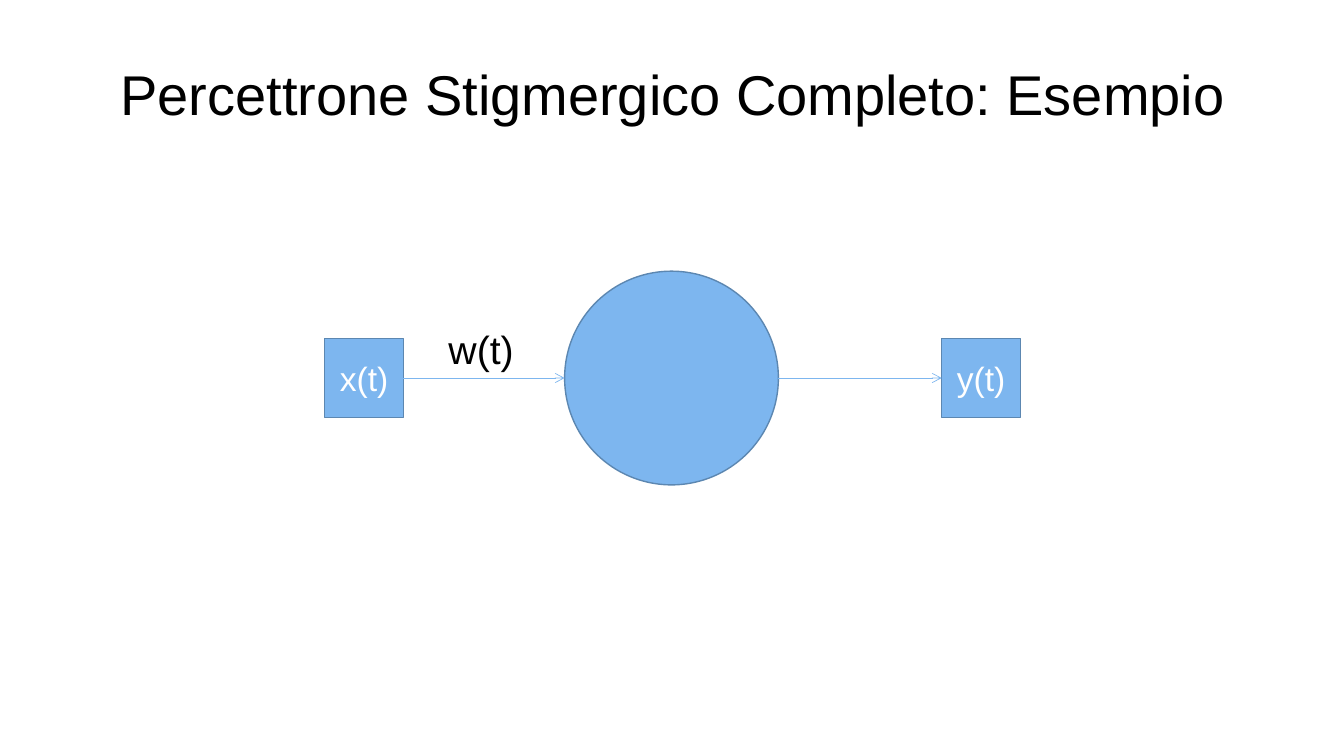
from dataclasses import dataclass

from lxml import etree
from pptx import Presentation
from pptx.dml.color import RGBColor
from pptx.enum.shapes import MSO_CONNECTOR, MSO_SHAPE
from pptx.enum.text import MSO_ANCHOR, PP_ALIGN
from pptx.oxml.ns import qn
from pptx.util import Inches, Pt


@dataclass(frozen=True)
class Theme:
    font: str = "Arial"
    fill: RGBColor = RGBColor(0x7D, 0xB6, 0xEF)
    edge: RGBColor = RGBColor(0x5C, 0x87, 0xB1)
    ink: RGBColor = RGBColor(0, 0, 0)
    light: RGBColor = RGBColor(255, 255, 255)
    title: Pt = Pt(40)
    weight: Pt = Pt(28)
    node: Pt = Pt(24)
    border: Pt = Pt(1)
    arrow: Pt = Pt(0.5)


theme = Theme()


def write(shape, text, size, color, align, anchor, wrap):
    frame = shape.text_frame
    frame.word_wrap = wrap
    frame.vertical_anchor = anchor
    para = frame.paragraphs[0]
    para.text = text
    para.alignment = align
    para.font.name = theme.font
    para.font.size = size
    para.font.color.rgb = color


deck = Presentation()
deck.slide_width, deck.slide_height = Inches(13.33), Inches(7.5)
slide = deck.slides.add_slide(deck.slide_layouts[6])
shapes = slide.shapes

title = shapes.add_textbox(Inches(0.67), Inches(0.3), Inches(12), Inches(1.25))
write(title, "Percettrone Stigmergico Completo: Esempio", theme.title,
      theme.ink, PP_ALIGN.CENTER, MSO_ANCHOR.MIDDLE, True)

# Nodes share one horizontal axis
axis = 3.75
nodes = [
    (MSO_SHAPE.RECTANGLE, 3.22, 0.78, "x(t)"),
    (MSO_SHAPE.OVAL, 5.6, 2.12, ""),
    (MSO_SHAPE.RECTANGLE, 9.34, 0.78, "y(t)"),
]
for kind, left, side, text in nodes:
    node = shapes.add_shape(kind, Inches(left), Inches(axis - side / 2),
                            Inches(side), Inches(side))
    node.shadow.inherit = False
    node.fill.solid()
    node.fill.fore_color.rgb = theme.fill
    node.line.color.rgb = theme.edge
    node.line.width = theme.border
    if text:
        write(node, text, theme.node, theme.light,
              PP_ALIGN.CENTER, MSO_ANCHOR.MIDDLE, False)

# Each node points to the next
for (_, left, side, _), (_, end, _, _) in zip(nodes, nodes[1:]):
    link = shapes.add_connector(MSO_CONNECTOR.STRAIGHT, Inches(left + side),
                                Inches(axis), Inches(end), Inches(axis))
    link.line.color.rgb = theme.fill
    link.line.width = theme.arrow
    etree.SubElement(link.line._get_or_add_ln(), qn("a:tailEnd"), type="arrow")
    etree.SubElement(link._element.spPr, qn("a:effectLst"))

label = shapes.add_textbox(Inches(4.35), Inches(3.18), Inches(1.1), Inches(0.57))
write(label, "w(t)", theme.weight, theme.ink,
      PP_ALIGN.LEFT, MSO_ANCHOR.TOP, True)

deck.save("out.pptx")
